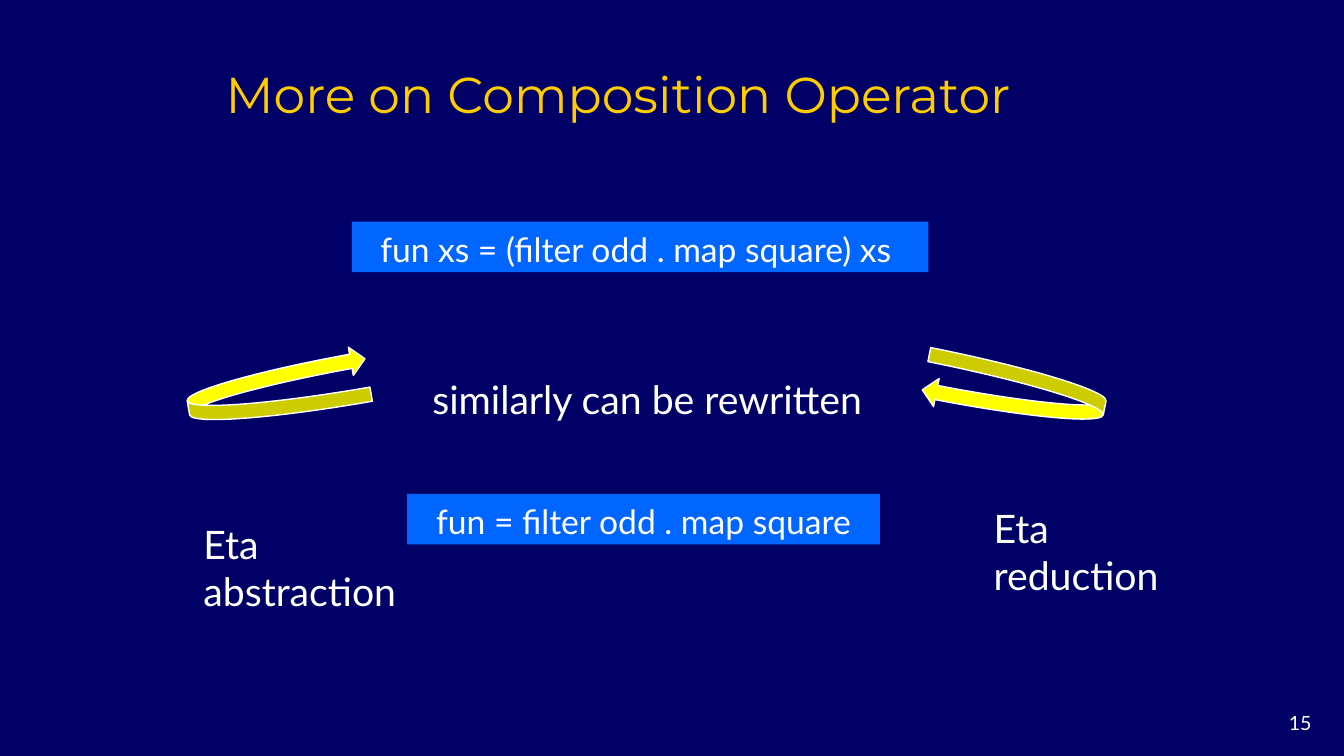
from dataclasses import dataclass

from pptx import Presentation
from pptx.dml.color import RGBColor
from pptx.enum.shapes import MSO_SHAPE
from pptx.enum.text import MSO_ANCHOR, PP_ALIGN
from pptx.shapes.autoshape import Shape
from pptx.slide import Slide
from pptx.util import Inches, Pt

NAVY = RGBColor(0x00, 0x00, 0x66)
BLUE = RGBColor(0x00, 0x66, 0xFF)
GOLD = RGBColor(0xFF, 0xCC, 0x00)
YELLOW = RGBColor(0xFF, 0xFF, 0x00)
WHITE = RGBColor(0xFF, 0xFF, 0xFF)

RECTANGLE = MSO_SHAPE.RECTANGLE
CURVED_ARROW = MSO_SHAPE.CURVED_LEFT_ARROW
TOP, MIDDLE = MSO_ANCHOR.TOP, MSO_ANCHOR.MIDDLE
LEFT, CENTER, RIGHT = PP_ALIGN.LEFT, PP_ALIGN.CENTER, PP_ALIGN.RIGHT

BODY_FONT, TITLE_FONT = "Lato", "Montserrat"
SLIDE_WIDTH, SLIDE_HEIGHT = Inches(13.33), Inches(7.5)


@dataclass(frozen=True)
class Area:
    """Place and size in percent of the slide's width and height."""
    left: float
    top: float
    width: float
    height: float

    def lengths(self) -> tuple[int, int, int, int]:
        return (round(self.left * SLIDE_WIDTH / 100), round(self.top * SLIDE_HEIGHT / 100),
                round(self.width * SLIDE_WIDTH / 100), round(self.height * SLIDE_HEIGHT / 100))


@dataclass(frozen=True)
class Label:
    text: str
    area: Area
    align: PP_ALIGN = LEFT


@dataclass(frozen=True)
class Arrow:
    area: Area
    rotation: float


CODE_LINES = (
    Label("fun xs = (filter odd . map square) xs ", Area(26.18, 29.33, 42.9, 6.67)),
    Label("fun = filter odd . map square", Area(30.3, 65.33, 35.17, 6.67)),
)
CAPTIONS = (
    Label("similarly can be rewritten", Area(29.55, 48.93, 37.2, 7.6), CENTER),
    Label("Eta reduction", Area(73.2, 66, 14.25, 13.87)),
    Label("Eta abstraction", Area(14.4, 68.13, 16.57, 13.87)),
)
ARROWS = (
    Arrow(Area(68.7, 48.27, 13.57, 7.6), 11.3),
    Arrow(Area(13.87, 47.6, 13.57, 7.6), 170.1),
)


def write_text(box: Shape, text: str, *, size: float, font: str = BODY_FONT,
               color: RGBColor = WHITE, align: PP_ALIGN = LEFT,
               anchor: MSO_ANCHOR = TOP, spacing: float = 1.0) -> None:
    frame = box.text_frame
    frame.word_wrap = True
    frame.vertical_anchor = anchor
    para = frame.paragraphs[0]
    para.alignment = align
    para.line_spacing = spacing
    span = para.add_run()
    span.text = text
    span.font.name = font
    span.font.size = Pt(size)
    span.font.color.rgb = color


def add_label(page: Slide, label: Label, size: float) -> None:
    box = page.shapes.add_textbox(*label.area.lengths())
    write_text(box, label.text, size=size, align=label.align)


def add_filled_shape(page: Slide, kind: MSO_SHAPE, area: Area, color: RGBColor) -> Shape:
    shape = page.shapes.add_shape(kind, *area.lengths())
    shape.shadow.inherit = False
    shape.fill.solid()
    shape.fill.fore_color.rgb = color
    return shape


def add_code_line(page: Slide, code: Label) -> None:
    box = add_filled_shape(page, RECTANGLE, code.area, BLUE)
    box.line.fill.background()
    write_text(box, code.text, size=24, align=CENTER, anchor=MIDDLE, spacing=1.1)


def add_arrow(page: Slide, arrow: Arrow) -> None:
    shape = add_filled_shape(page, CURVED_ARROW, arrow.area, YELLOW)
    shape.line.color.rgb = WHITE
    shape.line.width = Pt(1)
    shape.rotation = arrow.rotation


def main() -> None:
    deck = Presentation()
    deck.slide_width, deck.slide_height = SLIDE_WIDTH, SLIDE_HEIGHT
    page = deck.slides.add_slide(deck.slide_layouts[6])
    page.background.fill.solid()
    page.background.fill.fore_color.rgb = NAVY

    # Slide number and title
    add_label(page, Label("15", Area(91.65, 93.33, 6.68, 4.4), RIGHT), size=14)
    title = page.shapes.add_textbox(*Area(16.05, 7.6, 68.18, 9.47).lengths())
    write_text(title, "More on Composition Operator", size=36, font=TITLE_FONT,
               color=GOLD, anchor=MIDDLE)

    # The two equivalent definitions
    for code in CODE_LINES:
        add_code_line(page, code)

    # Rewriting in both directions
    for arrow in ARROWS:
        add_arrow(page, arrow)
    for caption in CAPTIONS:
        add_label(page, caption, size=28)

    deck.save("out.pptx")


if __name__ == "__main__":
    main()
